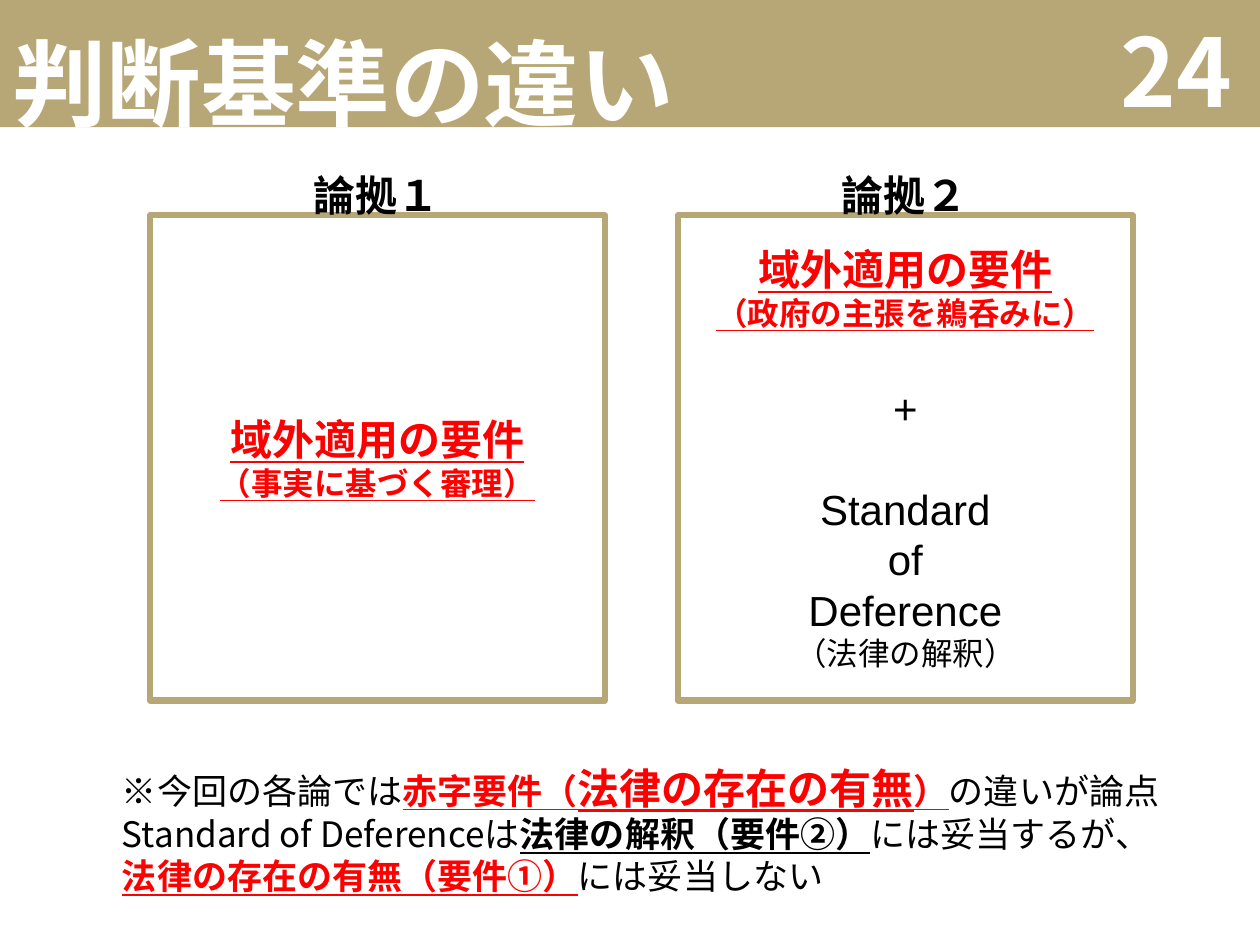
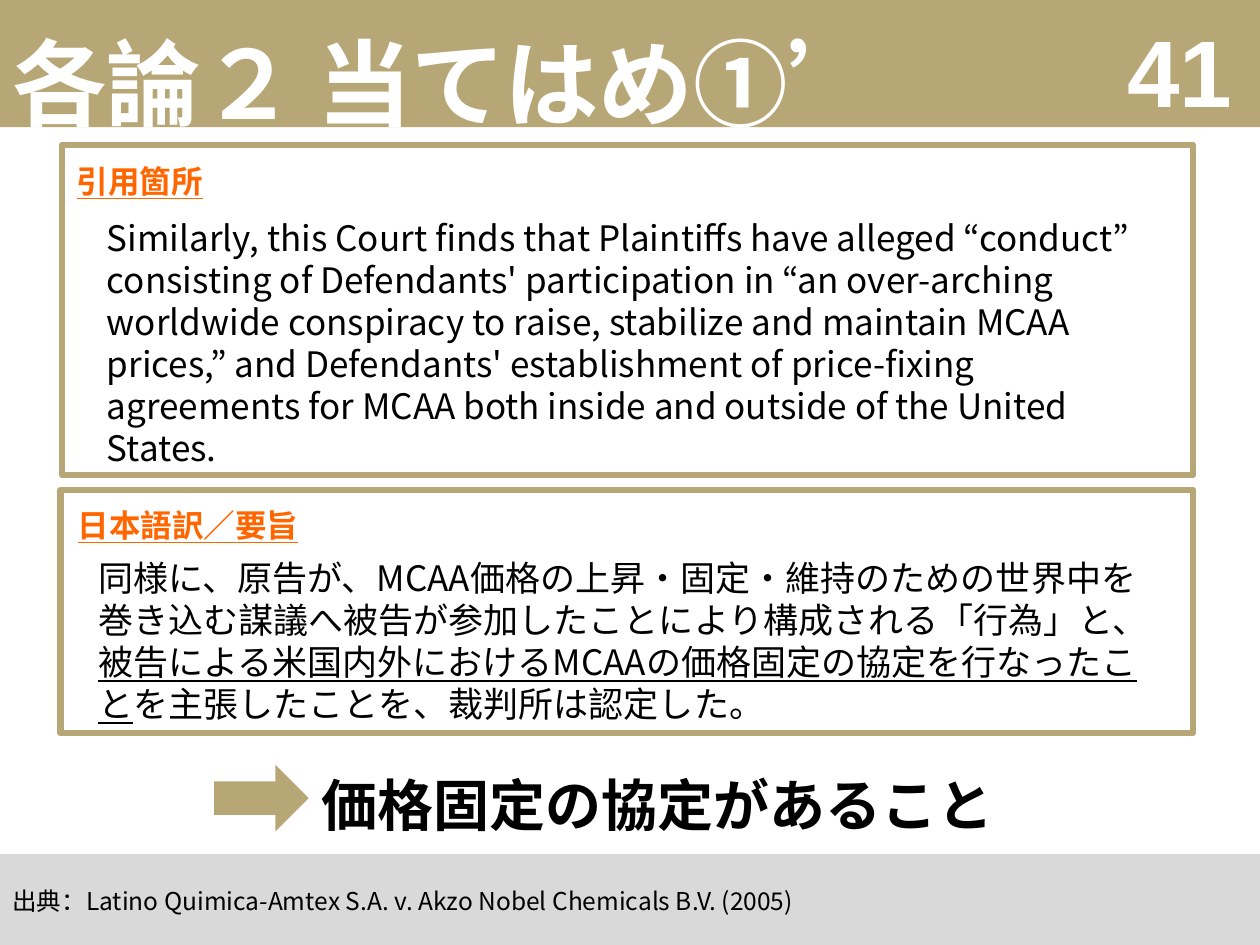
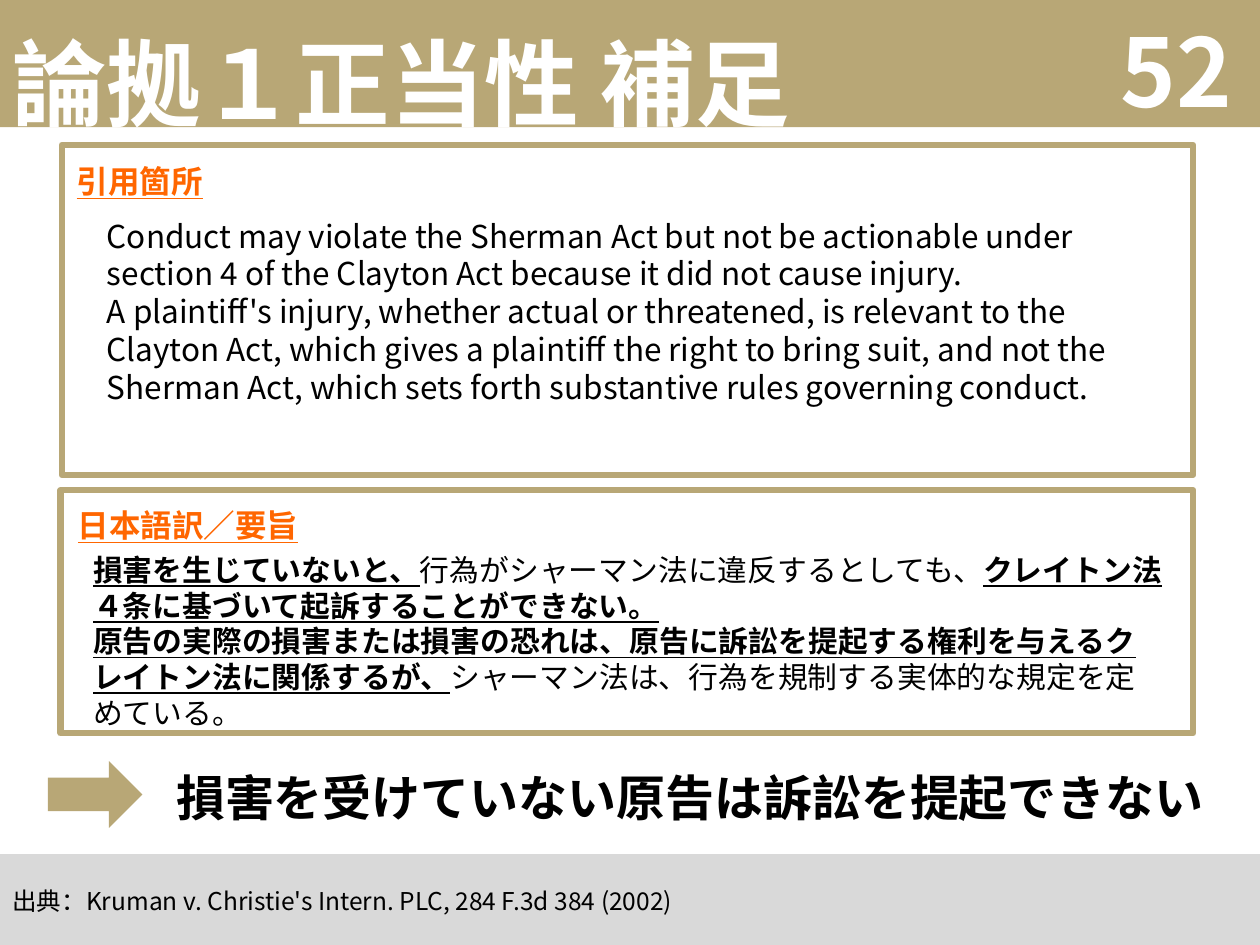
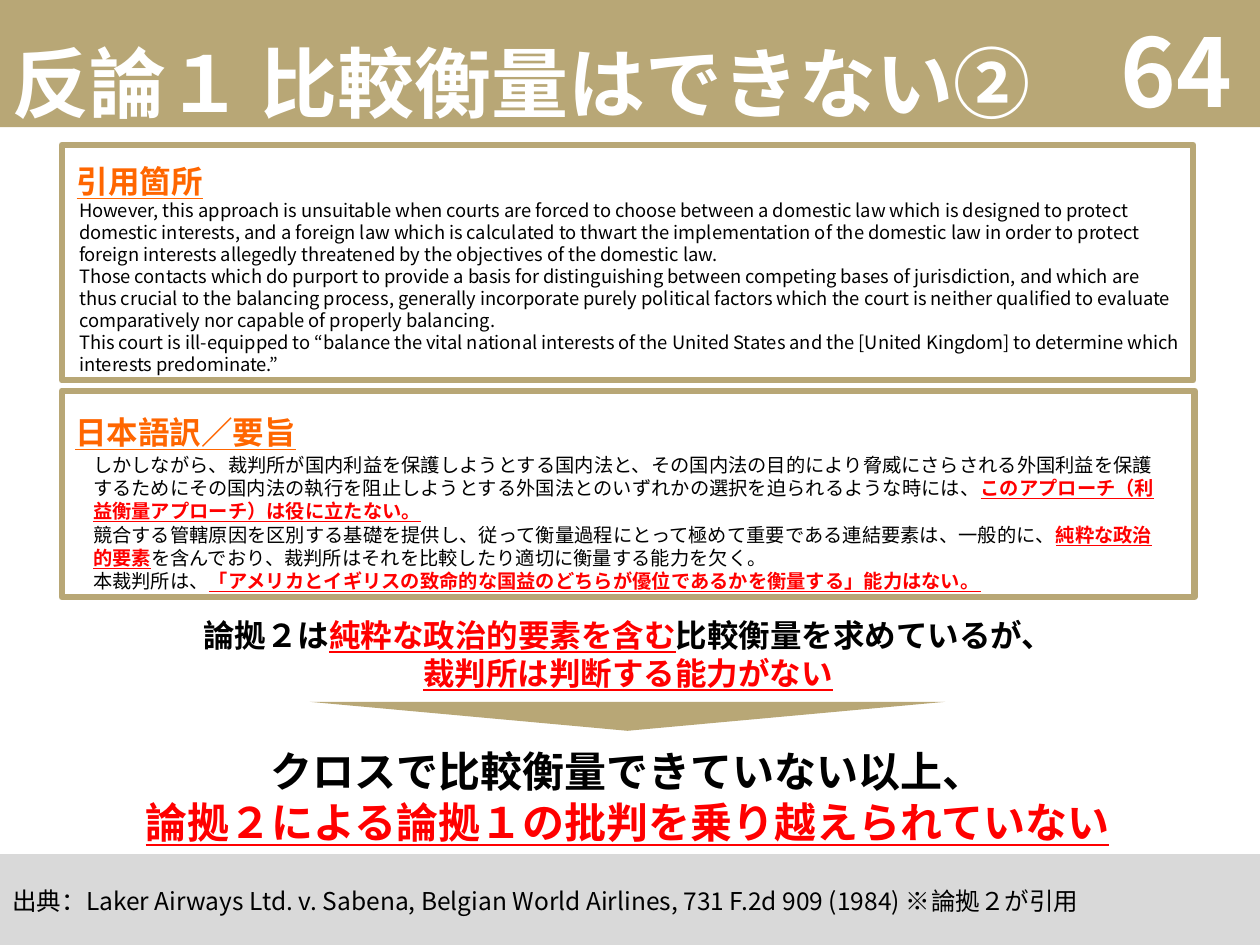
"""Build four debate slides on the extraterritorial reach of competition law."""
from dataclasses import dataclass

from lxml.etree import SubElement
from pptx import Presentation
from pptx.dml.color import RGBColor
from pptx.enum.shapes import MSO_SHAPE
from pptx.enum.text import MSO_ANCHOR, MSO_AUTO_SIZE, PP_ALIGN
from pptx.oxml.ns import qn
from pptx.util import Inches, Pt

GOLD, GREY, WHITE, BLACK = "B8A776", "D9D9D9", "FFFFFF", "000000"
RED, ORANGE = "FF0000", "FF6600"
SANS, TITLE_FONT, LATIN_FONT = "Noto Sans CJK JP", "Karla", "Arial"
COLUMNS, ROWS = 100, 75
LEFT, CENTER, RIGHT = PP_ALIGN.LEFT, PP_ALIGN.CENTER, PP_ALIGN.RIGHT


@dataclass
class Run:
    text: str
    colour: str = BLACK
    bold: bool = False
    underline: bool = False
    size: float = 0


@dataclass
class Line:
    runs: list
    before: float = 0


def color(value):
    return RGBColor.from_string(value)


def bold(text, colour=BLACK, size=0):
    return Run(text, colour, True, False, size)


def underlined(text, colour=BLACK, size=0):
    return Run(text, colour, True, True, size)


def red(text, size=0):
    return underlined(text, RED, size)


class Deck:
    def __init__(self):
        self.presentation = Presentation()
        self.presentation.slide_width = Inches(10)
        self.presentation.slide_height = Inches(7.5)
        self.slide = None

    def place(self, area):
        left, top, width, height = area
        column = self.presentation.slide_width / COLUMNS
        row = self.presentation.slide_height / ROWS
        return [round(value) for value in
                (left * column, top * row, width * column, height * row)]

    def fill_text(self, frame, lines, size, font=SANS, align=LEFT):
        frame.word_wrap = True
        for index, line in enumerate(lines):
            paragraph = frame.paragraphs[0] if index == 0 else frame.add_paragraph()
            paragraph.alignment = align
            line = line if isinstance(line, Line) else Line(line)
            if line.before:
                paragraph.space_before = Pt(line.before)
            for part in line.runs:
                part = Run(part) if isinstance(part, str) else part
                run = paragraph.add_run()
                run.text = part.text
                run.font.size = Pt(part.size or size)
                run.font.name = font
                run.font.bold = part.bold
                run.font.underline = part.underline
                run.font.color.rgb = color(part.colour)
                SubElement(run.font._element, qn("a:ea"), typeface=SANS)

    def shape(self, kind, area, fill=None, line=None):
        shape = self.slide.shapes.add_shape(kind, *self.place(area))
        shape.shadow.inherit = False
        if fill:
            shape.fill.solid()
            shape.fill.fore_color.rgb = color(fill)
        else:
            shape.fill.background()
        if line:
            shape.line.color.rgb = color(line)
            shape.line.width = Pt(3.5)
        else:
            shape.line.fill.background()
        shape.text_frame.vertical_anchor = MSO_ANCHOR.MIDDLE
        return shape

    def frame(self, area, lines=(), size=24):
        shape = self.shape(MSO_SHAPE.RECTANGLE, area, line=GOLD)
        self.fill_text(shape.text_frame, lines, size, LATIN_FONT, CENTER)

    def text(self, area, lines, size, align=LEFT, wrap=True):
        box = self.slide.shapes.add_textbox(*self.place(area))
        self.fill_text(box.text_frame, lines, size, align=align)
        box.text_frame.word_wrap = wrap
        box.text_frame.auto_size = MSO_AUTO_SIZE.SHAPE_TO_FIT_TEXT

    def banner(self, area, text, size, font, align=LEFT):
        box = self.slide.shapes.add_textbox(*self.place(area))
        self.fill_text(box.text_frame, [[bold(text, WHITE)]], size, font, align)
        box.text_frame.vertical_anchor = MSO_ANCHOR.MIDDLE

    def start(self, title, number, title_size=54, number_font=SANS):
        self.slide = self.presentation.slides.add_slide(
            self.presentation.slide_layouts[6])
        self.shape(MSO_SHAPE.RECTANGLE, (0, 0, COLUMNS, 10.1), GOLD)
        self.banner((0, 0.2, 110.6, 12.5), title, title_size, TITLE_FONT)
        self.banner((75.5, 3.5, 23.3, 4), number, 54, number_font, RIGHT)

    def heading(self, left, top, text):
        self.text((left, top, 86.8, 4), [[underlined(text, ORANGE)]], 18)

    def panels(self, quote, summary, summary_heading):
        self.frame(quote)
        self.frame(summary)
        self.heading(5.1, 12.4, "引用箇所")
        self.heading(*summary_heading, "日本語訳／要旨")

    def standard_panels(self):
        self.panels((4.9, 11.5, 89.8, 26.2), (4.8, 38.9, 89.9, 19.3), (5.2, 39.7))

    def arrow(self, left, top):
        self.shape(MSO_SHAPE.RIGHT_ARROW, (left, top, 7.5, 5.3), GOLD)

    def citation(self, text):
        strip = self.shape(MSO_SHAPE.RECTANGLE, (0, 67.8, COLUMNS, 7.4), GREY)
        self.fill_text(strip.text_frame, [["出典：" + text]], 14)


def criteria_slide(deck):
    deck.start("判断基準の違い", "24")
    requirement = [red("域外適用の要件")]
    arguments = [
        ("論拠１", [requirement, [red("（事実に基づく審理）", 18)]]),
        ("論拠２", [requirement, [red("（政府の主張を鵜呑みに）", 18)],
                  Line(["+"], 28.8), Line(["Standard"], 28.8), ["of"],
                  ["Deference"], [Run("（法律の解釈）", size=18)]]),
    ]
    for index, (label, lines) in enumerate(arguments):
        left = 11.9 + index * 41.9
        deck.frame((left, 17.1, 36.1, 38.5), lines)
        deck.text((left + 11.9, 13, 12.1, 4), [[bold(label)]], 24, CENTER, False)
    deck.text((8.7, 60, 84.6, 11.8), [
        ["※今回の各論では", red("赤字要件（"), red("法律の存在の有無", 24),
         red("）"), "の違いが論点"],
        ["Standard of Deferenceは", underlined("法律の解釈（要件②）"),
         "には妥当するが、"],
        [red("法律の存在の有無（要件①）"), "には妥当しない"],
    ], 20)


def agreement_slide(deck):
    deck.start("各論２ 当てはめ①’", "41", number_font=LATIN_FONT)
    deck.standard_panels()
    deck.arrow(17, 60.7)
    deck.text((24.5, 60.7, 55.7, 6.4), [[bold("価格固定の協定があること")]], 32)
    deck.citation("Latino Quimica-Amtex S.A. v. Akzo Nobel Chemicals B.V. (2005)")
    deck.text((7.5, 16.7, 84.6, 21.2), [[
        "Similarly, this Court finds that Plaintiffs have alleged “conduct” "
        "consisting of Defendants' participation in “an over-arching worldwide "
        "conspiracy to raise, stabilize and maintain MCAA prices,” and "
        "Defendants' establishment of price-fixing agreements for MCAA both "
        "inside and outside of the United States."]], 20)
    deck.text((6.8, 43.7, 86.9, 14.5), [[
        "同様に、原告が、MCAA価格の上昇・固定・維持のための世界中を巻き込む謀議へ"
        "被告が参加したことにより構成される「行為」と、",
        Run("被告による米国内外におけるMCAAの価格固定の協定を行なったこと",
            underline=True),
        "を主張したことを、裁判所は認定した。"]], 20)


def injury_slide(deck):
    deck.start("論拠１正当性 補足", "52")
    deck.standard_panels()
    deck.text((7.5, 16.7, 84.6, 19.2), [
        ["Conduct may violate the Sherman Act but not be actionable under "
         "section 4 of the Clayton Act because it did not cause injury."],
        ["A plaintiff's injury, whether actual or threatened, is relevant to "
         "the Clayton Act, which gives a plaintiff the right to bring suit, and "
         "not the Sherman Act, which sets forth substantive rules governing "
         "conduct."],
    ], 18)
    deck.text((6.4, 43.3, 86.9, 15.3), [
        [underlined("損害を生じていないと、"),
         "行為がシャーマン法に違反するとしても、",
         underlined("クレイトン法４条に基づいて起訴することができない。")],
        [underlined("原告の実際の損害または損害の恐れは、原告に訴訟を提起する権利を"
                    "与えるクレイトン法に関係するが、"),
         "シャーマン法は、行為を規制する実体的な規定を定めている。"],
    ], 17)
    deck.arrow(3.8, 60.4)
    deck.text((12.2, 60.4, 85.1, 5.7),
              [[bold("損害を受けていない原告は訴訟を提起できない")]], 28, CENTER)
    deck.citation("Kruman v. Christie's Intern. PLC, 284 F.3d 384 (2002)")


def balancing_slide(deck):
    deck.start("反論１ 比較衡量はできない②", "64", title_size=44)
    deck.citation("Laker Airways Ltd. v. Sabena, Belgian World Airlines, "
                  "731 F.2d 909 (1984) ※論拠２が引用")
    deck.panels((4.9, 11.5, 89.8, 18.7), (4.9, 31, 89.9, 16.4), (5, 32.3))
    deck.text((5.3, 15.3, 89.5, 15.1), [
        ["However, this approach is unsuitable when courts are forced to choose "
         "between a domestic law which is designed to protect domestic "
         "interests, and a foreign law which is calculated to thwart the "
         "implementation of the domestic law in order to protect foreign "
         "interests allegedly threatened by the objectives of the domestic law."],
        ["Those contacts which do purport to provide a basis for distinguishing "
         "between competing bases of jurisdiction, and which are thus crucial "
         "to the balancing process, generally incorporate purely political "
         "factors which the court is neither qualified to evaluate "
         "comparatively nor capable of properly balancing."],
        ["This court is ill-equipped to “balance the vital national interests "
         "of the United States and the [United Kingdom] to determine which "
         "interests predominate.”"],
    ], 10.5)
    deck.text((6.4, 35.5, 86.9, 12.1), [
        ["しかしながら、裁判所が国内利益を保護しようとする国内法と、その国内法の目的に"
         "より脅威にさらされる外国利益を保護するためにその国内法の執行を阻止しようと"
         "する外国法とのいずれかの選択を迫られるような時には、",
         red("このアプローチ（利益衡量アプローチ）は役に立たない。")],
        ["競合する管轄原因を区別する基礎を提供し、従って衡量過程にとって極めて重要で"
         "ある連結要素は、一般的に、",
         red("純粋な政治的要素"),
         "を含んでおり、裁判所はそれを比較したり適切に衡量する能力を欠く。"],
        ["本裁判所は、",
         red("「アメリカとイギリスの致命的な国益のどちらが優位であるかを衡量する」"
             "能力はない。")],
    ], 11)
    deck.text((6.7, 48.4, 86.3, 7.1), [
        [bold("論拠２は"), red("純粋な政治的要素を含む"),
         bold("比較衡量を求めているが、")],
        [red("裁判所は判断する能力がない")],
    ], 18, CENTER)
    triangle = deck.shape(MSO_SHAPE.ISOSCELES_TRIANGLE, (24.6, 55.7, 50.4, 2.3), GOLD)
    triangle.rotation = 180
    deck.text((10.1, 58.7, 79.4, 9.1), [
        [bold("クロスで比較衡量できていない以上、")],
        [red("論拠２による論拠１の批判を乗り越えられていない")],
    ], 24, CENTER, False)


def main():
    deck = Deck()
    for build in (criteria_slide, agreement_slide, injury_slide, balancing_slide):
        build(deck)
    deck.presentation.save("out.pptx")


if __name__ == "__main__":
    main()
